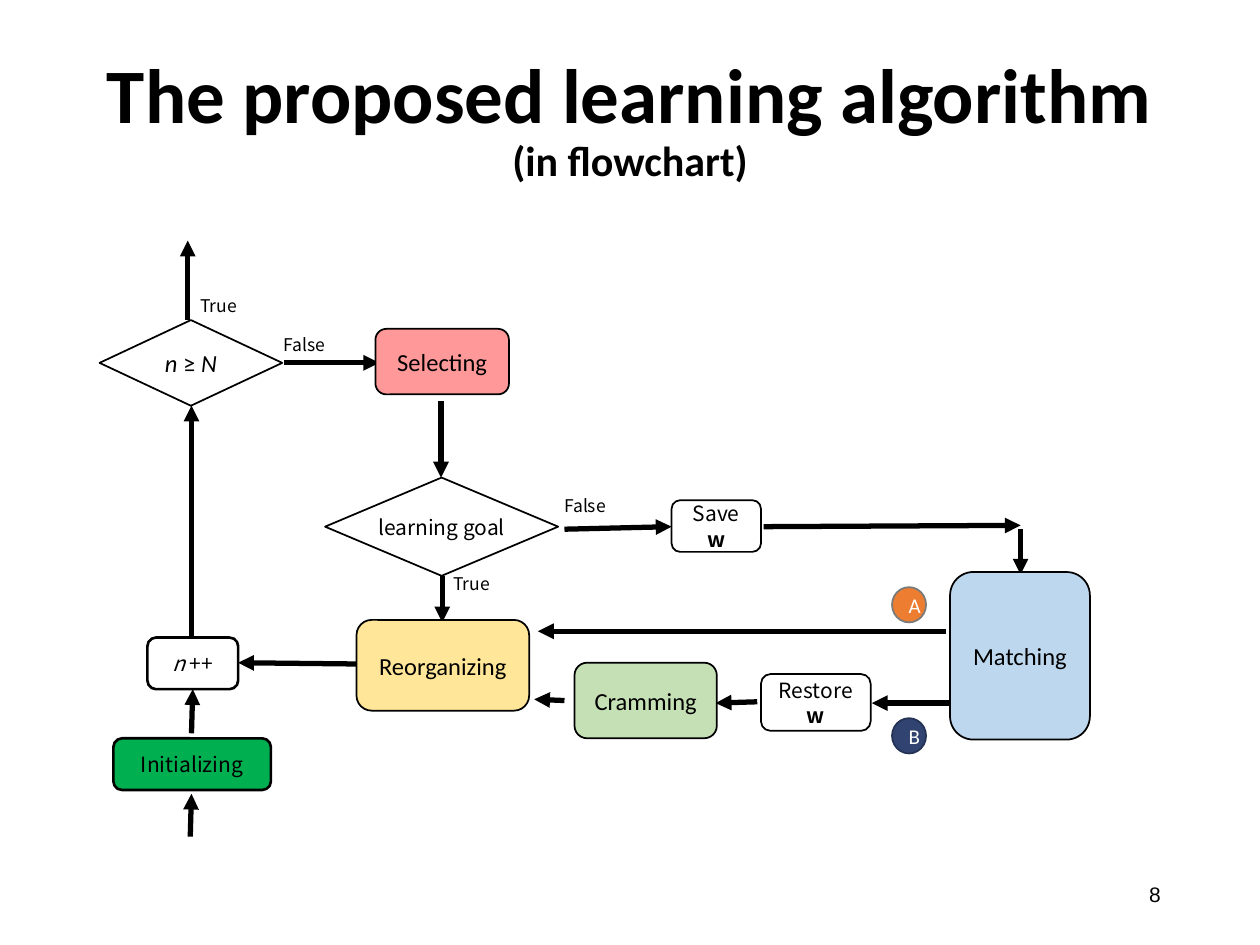
from pptx import Presentation
from pptx.util import Inches, Pt
from pptx.dml.color import RGBColor
from pptx.enum.shapes import MSO_CONNECTOR, MSO_SHAPE
from pptx.enum.text import MSO_ANCHOR, PP_ALIGN
from pptx.oxml import parse_xml
from pptx.oxml.ns import nsdecls

BLACK, WHITE = "000000", "FFFFFF"
SANS, CJK, CJK_SC = "Calibri", "Noto Sans CJK TC", "Noto Sans CJK SC"
ROUND, DIAMOND, OVAL = MSO_SHAPE.ROUNDED_RECTANGLE, MSO_SHAPE.DIAMOND, MSO_SHAPE.OVAL

deck = Presentation()
deck.slide_width, deck.slide_height = Inches(10), Inches(7.5)
page = deck.slides.add_slide(deck.slide_layouts[6])


def color(value):
    return RGBColor.from_string(value)


def write(para, spans, font, size, ink=BLACK, align=PP_ALIGN.CENTER):
    """Add runs given as (text, style), where style holds b and/or i."""
    para.alignment = align
    for text, style in spans:
        span = para.add_run()
        span.text = text
        span.font.name, span.font.size = font, Pt(size)
        span.font.color.rgb = color(ink)
        span.font.bold, span.font.italic = "b" in style, "i" in style


# Arrows, from tail to head
arrows = [
    (1.51, 6.64, 1.52, 6.3),    # start to Initializing
    (1.52, 5.82, 1.53, 5.47),   # Initializing to n++
    (1.52, 5.06, 1.52, 3.22),   # n++ to n ≥ N
    (1.49, 2.54, 1.49, 1.91),   # n ≥ N to end
    (2.25, 2.88, 3.01, 2.88),   # n ≥ N to Selecting
    (3.5, 3.18, 3.5, 3.79),     # Selecting to learning goal
    (3.51, 4.57, 3.51, 4.94),   # learning goal to Reorganizing
    (4.48, 4.2, 5.33, 4.18),    # learning goal to Save
    (6.06, 4.18, 8.1, 4.17),    # Save to Matching
    (8.1, 4.2, 8.1, 4.56),
    (7.51, 5.01, 4.27, 5.01),   # Matching to Reorganizing
    (7.54, 5.58, 6.92, 5.58),   # Matching to Restore
    (6.01, 5.57, 5.68, 5.58),   # Restore to Cramming
    (4.48, 5.56, 4.24, 5.55),   # Cramming to Reorganizing
    (2.83, 5.27, 1.89, 5.26),   # Reorganizing to n++
]
for ends in arrows:
    arrow = page.shapes.add_connector(MSO_CONNECTOR.STRAIGHT, *map(Inches, ends))
    arrow.line.color.rgb, arrow.line.width = color(BLACK), Pt(3)
    arrow.line._get_or_add_ln().append(
        parse_xml(f'<a:tailEnd {nsdecls("a")} type="triangle"/>'))
    arrow._element.spPr.append(parse_xml(f'<a:effectLst {nsdecls("a")}/>'))

# Steps, decisions and badges: shape, place, fill, outline, width, text, font, size
nodes = [
    (ROUND, (1.17, 5.06, 0.72, 0.41), WHITE, BLACK, 1.5, [("n", "i"), (" ++", "")], CJK, 12),
    (ROUND, (0.9, 5.86, 1.25, 0.41), "00B050", BLACK, 1.5, [("Initializing", "")], CJK, 12),
    (DIAMOND, (0.79, 2.54, 1.45, 0.68), WHITE, BLACK, 1,
     [("n ", "i"), ("≥ ", ""), ("N", "i")], SANS, 14),
    (DIAMOND, (2.58, 3.79, 1.85, 0.78), WHITE, BLACK, 1, [("learning goal", "")], CJK_SC, 12),
    (ROUND, (2.98, 2.61, 1.06, 0.52), "FF9999", BLACK, 1, [("Selecting", "")], SANS, 14),
    (ROUND, (2.83, 4.92, 1.37, 0.72), "FFE699", BLACK, 1, [("Reorganizing", "")], SANS, 14),
    (ROUND, (4.56, 5.26, 1.13, 0.6), "C5E0B4", BLACK, 1, [("Cramming", "")], SANS, 14),
    (ROUND, (7.54, 4.54, 1.11, 1.33), "BDD7EE", BLACK, 1, [("Matching", "")], SANS, 14),
    (ROUND, (5.33, 3.97, 0.71, 0.41), WHITE, BLACK, 1, [("Save ", ""), ("w", "b")], CJK, 12),
    (ROUND, (6.04, 5.35, 0.87, 0.45), WHITE, BLACK, 1, [("Restore ", ""), ("w", "b")], CJK, 12),
    (OVAL, (7.08, 4.66, 0.27, 0.28), "ED7D31", "7A7A7A", 1, [("A", "")], SANS, 12),
    (OVAL, (7.08, 5.7, 0.27, 0.28), "304371", "243254", 1, [("B", "")], SANS, 12),
]
for kind, place, fill, outline, width, spans, font, size in nodes:
    node = page.shapes.add_shape(kind, *map(Inches, place))
    node.shadow.inherit = False
    node.fill.solid()
    node.fill.fore_color.rgb = color(fill)
    node.line.color.rgb, node.line.width = color(outline), Pt(width)
    frame = node.text_frame
    frame.vertical_anchor = MSO_ANCHOR.MIDDLE
    frame.word_wrap = kind != DIAMOND
    if kind == DIAMOND:
        frame.margin_left = frame.margin_right = Inches(0.05)
    write(frame.paragraphs[0], spans, font, size, WHITE if kind == OVAL else BLACK)

# Branch labels
for text, left, top in [("True", 1.49, 2.29), ("False", 2.15, 2.6),
                        ("True", 3.5, 4.5), ("False", 4.38, 3.88)]:
    label = page.shapes.add_textbox(Inches(left), Inches(top), Inches(0.55), Inches(0.27))
    label.text_frame.word_wrap = True
    label.text_frame.margin_right = 0
    write(label.text_frame.paragraphs[0], [(text, "")], CJK, 10, align=PP_ALIGN.LEFT)

# Title and subtitle
title = page.shapes.add_textbox(Inches(0.69), Inches(0.4), Inches(8.62), Inches(1.45))
title.text_frame.word_wrap = True
heading, subtitle = title.text_frame.paragraphs[0], title.text_frame.add_paragraph()
for para, text, size in [(heading, "The proposed learning algorithm", 44),
                         (subtitle, "(in flowchart)", 24)]:
    para.line_spacing = 0.9
    write(para, [(text, "b")], SANS, size)

# Page number
number = page.shapes.add_textbox(Inches(7.06), Inches(6.95), Inches(2.25), Inches(0.4))
number.text_frame.word_wrap = True
write(number.text_frame.paragraphs[0], [("8", "")], "Arial", 12, align=PP_ALIGN.RIGHT)

deck.save("out.pptx")
